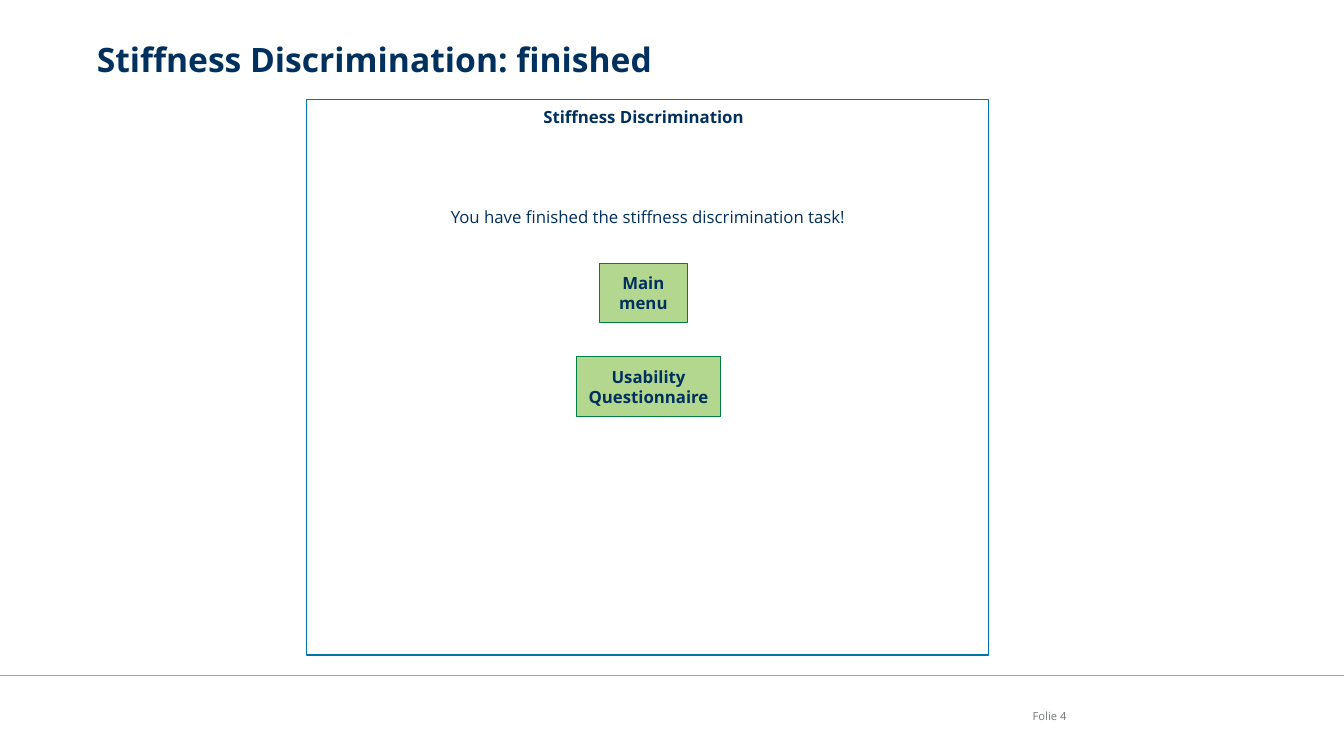
from lxml import etree
from pptx import Presentation
from pptx import util as u
from pptx.dml.color import RGBColor
from pptx.enum import shapes, text
from pptx.oxml.ns import qn

NAVY = RGBColor(0x00, 0x30, 0x5E)
BLUE = RGBColor(0x00, 0x75, 0xA6)
LIGHT_GREEN = RGBColor(0x6A, 0xB0, 0x23)
DARK_GREEN = RGBColor(0x00, 0x7D, 0x40)
RULE_GRAY = RGBColor(0xA6, 0xA6, 0xA6)
TEXT_GRAY = RGBColor(0x72, 0x78, 0x79)
CENTER, RIGHT = text.PP_ALIGN.CENTER, text.PP_ALIGN.RIGHT
MIDDLE = text.MSO_ANCHOR.MIDDLE


def write(shape, words, size, color=NAVY, bold=False, align=CENTER, anchor=MIDDLE):
    frame = shape.text_frame
    frame.text = words
    frame.word_wrap = True
    frame.auto_size = text.MSO_AUTO_SIZE.NONE
    frame.vertical_anchor = anchor
    frame.margin_left = frame.margin_right = frame.margin_top = frame.margin_bottom = 0
    paragraph = frame.paragraphs[0]
    paragraph.alignment = align
    font = paragraph.runs[0].font
    font.name, font.size, font.bold = "Open Sans", u.Pt(size), bold
    font.color.rgb = color


presentation = Presentation()
presentation.slide_width, presentation.slide_height = u.Cm(33.87), u.Cm(19.05)
slide = presentation.slides.add_slide(presentation.slide_layouts[5])

# Footer rule and page number
rule = slide.shapes.add_connector(
    shapes.MSO_CONNECTOR.STRAIGHT, 0, u.Cm(17.02), presentation.slide_width, u.Cm(17.02))
rule.line.color.rgb = RULE_GRAY
rule.line.width = u.Pt(1)
etree.SubElement(rule._element.spPr, qn("a:effectLst"))
page_number = slide.shapes.add_textbox(u.Cm(24.92), u.Cm(17.53), u.Cm(1.96), u.Cm(1.02))
write(page_number, "Folie 4", 8, TEXT_GRAY, align=RIGHT)

# Title
title = slide.shapes.title
title.left, title.top, title.width, title.height = u.Cm(2.44), u.Cm(0.97), u.Cm(29.39), u.Cm(1.9)
write(title, "Stiffness Discrimination: finished", 24, bold=True,
      align=text.PP_ALIGN.LEFT, anchor=text.MSO_ANCHOR.TOP)

# Screen frame
screen = slide.shapes.add_shape(
    shapes.MSO_SHAPE.RECTANGLE, u.Cm(7.72), u.Cm(2.51), u.Cm(17.2), u.Cm(14))
screen.shadow.inherit = False
screen.fill.background()
screen.line.color.rgb = BLUE
screen.line.width = u.Pt(1)

# Screen heading and message
heading = slide.shapes.add_textbox(u.Cm(12.22), u.Cm(2.57), u.Cm(8), u.Cm(0.76))
write(heading, "Stiffness Discrimination", 12, bold=True)
message = slide.shapes.add_textbox(u.Cm(8.13), u.Cm(5.33), u.Cm(16.41), u.Cm(0.76))
write(message, "You have finished the stiffness discrimination task!", 12)
message.text_frame.margin_bottom = u.Cm(0.5)

# Buttons
for label, left, top, width in (("Main menu", 15.11, 6.63, 2.21),
                                ("Usability Questionnaire", 14.53, 8.99, 3.63)):
    button = slide.shapes.add_shape(
        shapes.MSO_SHAPE.RECTANGLE, u.Cm(left), u.Cm(top), u.Cm(width), u.Cm(1.5))
    button.shadow.inherit = False
    button.fill.solid()
    button.fill.fore_color.rgb = LIGHT_GREEN
    fill_color = button._element.spPr.find(qn("a:solidFill"))[0]
    etree.SubElement(fill_color, qn("a:alpha"), val="50000")
    button.line.color.rgb = DARK_GREEN
    button.line.width = u.Pt(0.75)
    write(button, label, 12, bold=True)

presentation.save("out.pptx")
